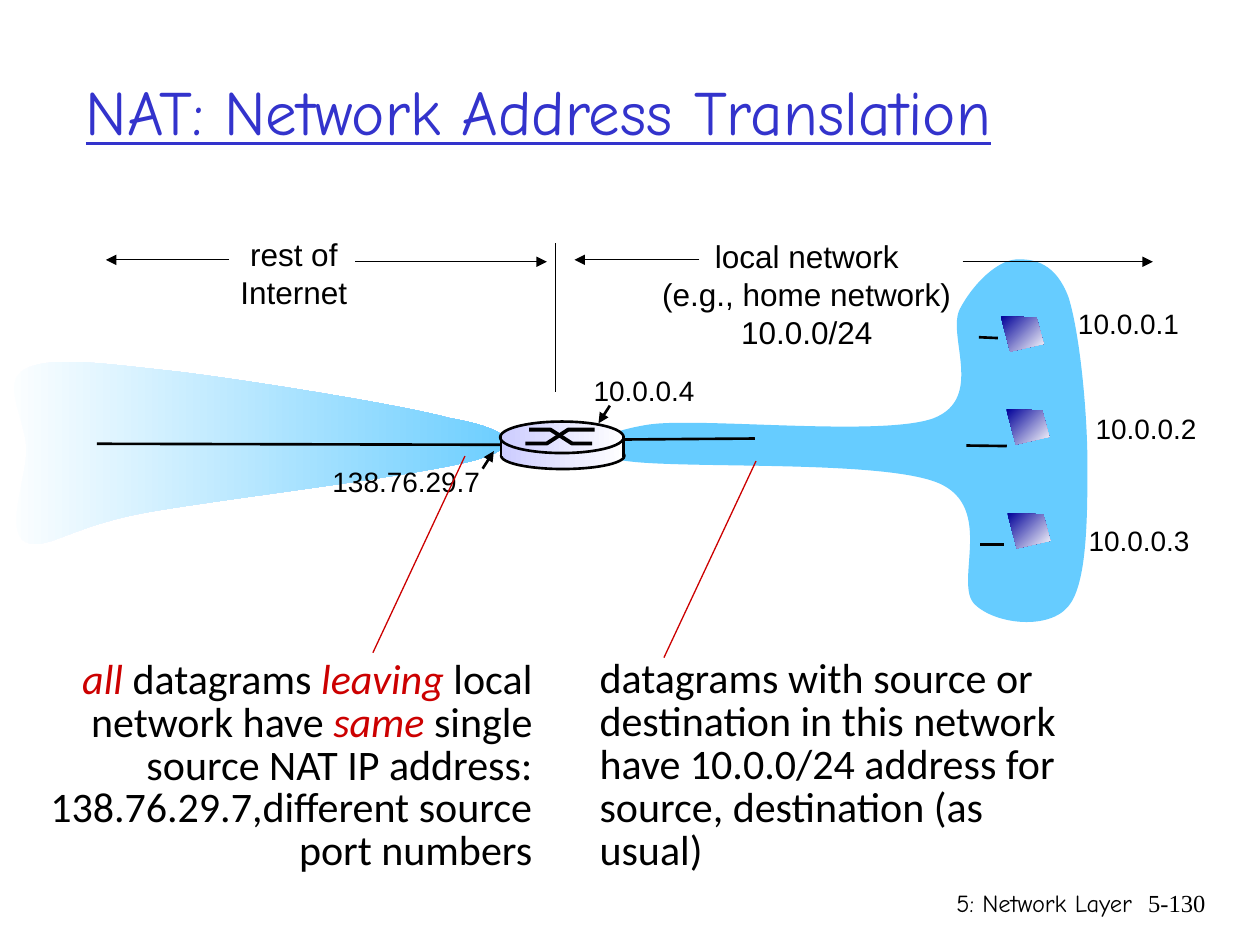
from lxml.etree import SubElement
from pptx import Presentation
from pptx.dml.color import RGBColor
from pptx.enum.shapes import MSO_CONNECTOR as Link, MSO_SHAPE as Kind
from pptx.enum.text import MSO_ANCHOR as Anchor, MSO_AUTO_SIZE as Fit, PP_ALIGN as Align
from pptx.oxml.ns import qn
from pptx.util import Pt

BLACK, RED, BLUE, SKY = "000000", "CC0000", "3333CC", "66CCFF"
LILAC, NAVY, WHITE = "CCCCFF", "000099", "FFFFFF"
LEFT, MID, RIGHT = Align.LEFT, Align.CENTER, Align.RIGHT

# Curved outlines: a start point, then control, control, end for each curve
LOCAL = [
    (370.8, 242.6),
    (400.3, 238.3), (504, 249.8), (533.5, 239),
    (563, 227.5), (540.7, 191.5), (548.6, 176.4),
    (556.6, 161.3), (570.2, 149), (580.3, 148.3),
    (591.1, 147.6), (603.4, 150.5), (610.6, 169.9),
    (617, 190.1), (621.4, 235.4), (621.4, 265),
    (621.4, 294.5), (621.4, 333.4), (610.6, 346.3),
    (599.8, 360), (569.5, 357.1), (557.3, 345.6),
    (544.3, 334.1), (569.5, 289.4), (535.7, 275.8),
    (501.8, 262.1), (382.3, 268.6), (354.2, 262.8),
    (326.9, 257), (342.7, 247), (370.8, 242.6),
]
REST = [
    (257, 239),
    (228.2, 231.1), (141.8, 217.4), (101.5, 212.4),
    (61.2, 208.1), (28.8, 203), (14.4, 211),
    (0, 218.2), (15.1, 240.5), (15.1, 257),
    (15.1, 273.6), (2.9, 303.1), (14.4, 309.6),
    (25.9, 315.4), (39.6, 301), (82.8, 293),
    (126, 285.1), (244.8, 271.4), (274.3, 262.1),
    (303.1, 253.4), (286.6, 244.1), (257, 239),
]

# Lines: x1, y1, x2, y2
WIRES = [
    (336.2, 251.3, 431.3, 250.6),
    (575.3, 254.9, 552.2, 254.6),
    (559.4, 192.7, 570.2, 193.2),
    (560.2, 311, 573.8, 311),
    (55.4, 253.6, 293.8, 254.2),
]
POINTERS = [(348.5, 231.8, 342, 241.9), (275.8, 267.8, 282.2, 257.8)]
SPANS = [
    (550.1, 149.6, 658.8, 149.6),
    (399.6, 148.5, 328.3, 148.5),
    (203, 149.6, 312.5, 149.6),
    (131, 148.5, 60.5, 148.5),
]
BORDER = (317.5, 139, 317.5, 223.9)
LEADERS = [(379.4, 375.8, 432, 263.5), (213.1, 373, 265.7, 260.6)]

# Router: kind, x, y, width, height, outlined
ROUTER = [
    (Kind.OVAL, 286.4, 252.9, 70.4, 15.1, True),
    (Kind.RECTANGLE, 286.4, 251.3, 70.4, 9.4, False),
    (Kind.OVAL, 285.8, 240.9, 70.6, 18, True),
]
HIGH, LOW = 245.5, 253.4
SWIRLS = [
    [(300.2, LOW), (312.5, LOW), (324.7, HIGH), (339.8, HIGH)],
    [(302.4, HIGH), (314.6, HIGH), (326.9, LOW), (338.4, LOW)],
]
SIDES = [(x, 249.1, x, 261.4) for x in (286.4, 356.4)]

HOSTS = [(571.9, 180.7), (575.1, 233.8), (575.7, 293.2)]
SCREEN = [(0, 0), (20.5, 0.7), (24.5, 15.8), (5.4, 20.2)]

# Texts: box, paragraphs, size, font, alignment
LABELS = [
    ((608.9, 171.4, 72.7, 26.6), ["10.0.0.1"], 16, "Arial", LEFT),
    ((619, 231.8, 72.7, 26.6), ["10.0.0.2"], 16, "Arial", LEFT),
    ((615, 295.5, 72.7, 26.6), ["10.0.0.3"], 16, "Arial", LEFT),
    ((332.1, 210.2, 72.7, 26.6), ["10.0.0.4"], 16, "Arial", LEFT),
    ((182.9, 262.1, 99.4, 26.6), ["138.76.29.7"], 16, "Arial", LEFT),
    ((371.3, 132, 179.3, 72),
     ["local network", "(e.g., home network)", "10.0.0/24"], 18, "Arial", MID),
    ((130.1, 131, 75.6, 50.4), ["rest of", "Internet"], 18, "Arial", MID),
]
FOOTER = [
    ((425.9, 504, 228.2, 36), ["5: Network Layer"], 14, "Comic Neue", RIGHT),
    ((642.7, 504, 53.3, 36), ["5-130"], 14, "Times New Roman", RIGHT),
]
# A run is plain text, or a one-item tuple for red italics
NOTES = [
    ((335.5, 373.4, 296.6, 105.1),
     ["datagrams with source or", "destination in this network",
      "have 10.0.0/24 address for", "source, destination (as usual)"],
     24, "Calibri", LEFT),
    ((21.3, 373.7, 290, 129.6),
     [[("all ",), "datagrams ", ("leaving",), " local"],
      ["network have ", ("same",), " single source NAT IP address: "
       "138.76.29.7,different source port numbers"]],
     24, "Calibri", RIGHT),
]
TITLE = ((42, 18, 653, 90), ["NAT: Network Address Translation"],
         36, "Comic Neue", LEFT)

deck = Presentation()
deck.slide_width, deck.slide_height = Pt(720), Pt(540)
shapes = deck.slides.add_slide(deck.slide_layouts[6]).shapes


def rgb(code):
    return RGBColor.from_string(code)


def paint(shape, fill=None, end=None, angle=0, width=0):
    """Fill plain, or as a gradient towards end; outline only if width is set."""
    shape.shadow.inherit = False
    if end:
        shape.fill.gradient()
        shape.fill.gradient_angle = angle
        for stop, code, place in zip(shape.fill.gradient_stops, (fill, end), (0, 1)):
            stop.color.rgb, stop.position = rgb(code), place
    elif fill:
        shape.fill.solid()
        shape.fill.fore_color.rgb = rgb(fill)
    else:
        shape.fill.background()
    if width:
        shape.line.color.rgb, shape.line.width = rgb(BLACK), Pt(width)
    else:
        shape.line.fill.background()


def outline(points, close=True):
    first, *rest = [(Pt(x), Pt(y)) for x, y in points]
    pen = shapes.build_freeform(*first)
    pen.add_line_segments(rest, close=close)
    return pen.convert_to_shape()


def curve(points):
    """Outline whose segments, three by three, become Bezier curves."""
    shape = outline(points)
    legs = list(shape._element.iter(qn("a:lnTo")))
    for trio in zip(legs[::3], legs[1::3], legs[2::3]):
        bend = trio[0].getparent().makeelement(qn("a:cubicBezTo"))
        trio[0].addprevious(bend)
        for leg in trio:
            bend.append(leg[0])
            leg.getparent().remove(leg)
    return shape


def draw(ends, width, color=BLACK, arrow=False):
    line = shapes.add_connector(Link.STRAIGHT, *map(Pt, ends))
    line.line.color.rgb, line.line.width = rgb(color), Pt(width)
    if arrow:
        SubElement(line.line._get_or_add_ln(), qn("a:tailEnd"), type="triangle")
    SubElement(line._element.spPr, qn("a:effectLst"))


def write(box, paras, size, font, align, color=BLACK, wrap=True, space=None,
          fit=Fit.NONE):
    frame = shapes.add_textbox(*map(Pt, box)).text_frame
    frame.word_wrap, frame.auto_size = wrap, fit
    for i, runs in enumerate(paras):
        para = frame.add_paragraph() if i else frame.paragraphs[0]
        para.alignment, para.line_spacing = align, space
        for item in [runs] if isinstance(runs, str) else runs:
            stress = isinstance(item, tuple)
            run = para.add_run()
            run.text = item[0] if stress else item
            run.font.size, run.font.name = Pt(size), font
            run.font.italic = stress
            run.font.color.rgb = rgb(RED if stress else color)
    return frame


title = write(*TITLE, color=BLUE)
title.vertical_anchor = Anchor.MIDDLE
title.paragraphs[0].runs[0].font.underline = True

paint(curve(LOCAL), SKY)
paint(curve(REST), WHITE, SKY)
for ends in WIRES:
    draw(ends, 1.5)
for ends in POINTERS:
    draw(ends, 1.5, arrow=True)
for ends in SPANS:
    draw(ends, 0.75, arrow=True)
draw(BORDER, 0.75)
for label in LABELS:
    write(*label, wrap=False, fit=Fit.SHAPE_TO_FIT_TEXT)
for note in NOTES:
    write(*note, space=0.85, fit=Fit.SHAPE_TO_FIT_TEXT)
for ends in LEADERS:
    draw(ends, 0.75, RED)

for kind, *box, edge in ROUTER:
    paint(shapes.add_shape(kind, *map(Pt, box)), LILAC, WHITE, width=1.5 * edge)
for swirl in SWIRLS:
    paint(outline(swirl, close=False), width=2.25)
for ends in SIDES:
    draw(ends, 1.5)
for x, y in HOSTS:
    paint(outline([(x + dx, y + dy) for dx, dy in SCREEN]), NAVY, WHITE, angle=315)
for item in FOOTER:
    write(*item)

deck.save("out.pptx")
